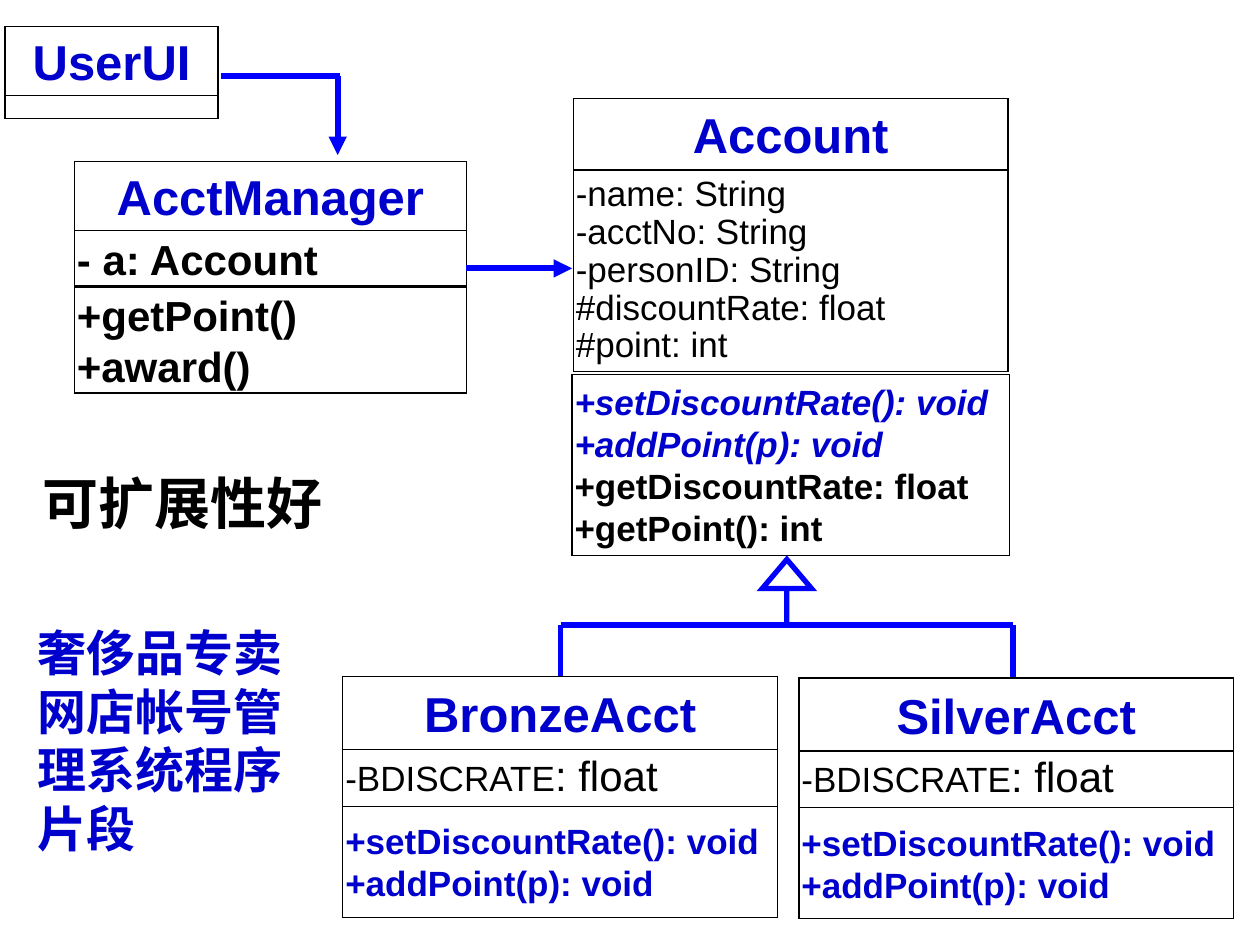
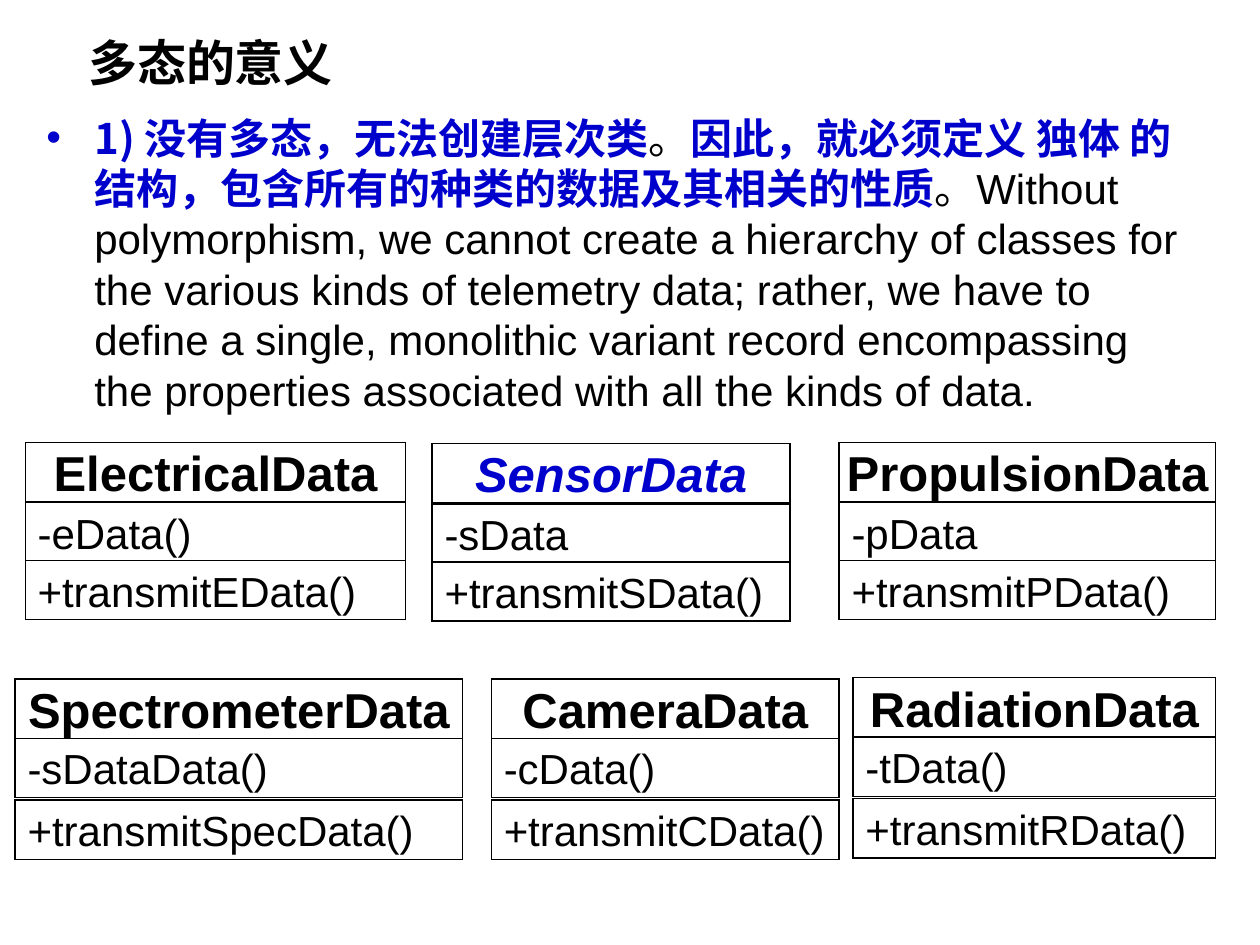
from lxml import etree
from pptx import Presentation
from pptx.dml.color import RGBColor
from pptx.enum.shapes import MSO_CONNECTOR, MSO_SHAPE
from pptx.enum.text import MSO_ANCHOR, MSO_AUTO_SIZE, PP_ALIGN
from pptx.oxml.ns import qn
from pptx.util import Pt

LEFT, CENTER = PP_ALIGN.LEFT, PP_ALIGN.CENTER
TOP, MIDDLE = MSO_ANCHOR.TOP, MSO_ANCHOR.MIDDLE
FIXED = MSO_AUTO_SIZE.NONE
RECT, ARROW = MSO_SHAPE.RECTANGLE, MSO_SHAPE.UP_ARROW
STRAIGHT = MSO_CONNECTOR.STRAIGHT

TITLE_ONLY, BLANK = 5, 6
SCALE = 9144  # EMU in one px, 100 px to the inch
BLACK, WHITE, BLUE, WIRE = "000000", "FFFFFF", "0000CC", "0000FF"
LATIN, HAN = "Arial", "Noto Sans CJK SC"


def px(*sizes):
    return [size * SCALE for size in sizes]


def color(code):
    return RGBColor.from_string(code)


def add_tag(parent, tag, **attrs):
    return etree.SubElement(parent, qn(tag), attrs)


def write(frame, text, size=24, font=LATIN, ink=BLACK, bold=False,
          italic=False, align=LEFT, anchor=TOP, pad=(10, 5), wrap=True,
          lead=None, bullet=None):
    """Fill a frame; text is a string or a list of lines.

    A line is a string or a list of (text, changed format) runs.
    """
    frame.auto_size = FIXED
    frame.word_wrap = wrap
    frame.vertical_anchor = anchor
    frame.margin_left = frame.margin_right = pad[0] * SCALE
    frame.margin_top = frame.margin_bottom = pad[1] * SCALE
    base = dict(size=size, font=font, ink=ink, bold=bold, italic=italic)
    for i, line in enumerate([text] if isinstance(text, str) else text):
        para = frame.add_paragraph() if i else frame.paragraphs[0]
        para.alignment = align
        para.space_before = Pt(0)
        if lead:
            para.line_spacing = lead
        if bullet:
            props = para._p.get_or_add_pPr()
            props.set("marL", str(38 * SCALE))
            props.set("indent", str(-38 * SCALE))
            add_tag(add_tag(props, "a:buClr"), "a:srgbClr", val=ink)
            add_tag(props, "a:buFont", typeface=LATIN)
            add_tag(props, "a:buChar", char=bullet)
        for words, change in [(line, {})] if isinstance(line, str) else line:
            form = base | change
            run = para.add_run()
            run.text = words
            run.font.size = Pt(form["size"])
            run.font.bold = form["bold"]
            run.font.italic = form["italic"]
            run.font.color.rgb = color(form["ink"])
            run.font.name = form["font"]
            add_tag(run._r.get_or_add_rPr(), "a:ea", typeface=form["font"])


class Deck:
    """Style and current slide of the presentation."""

    def __init__(self):
        self.show = Presentation()
        self.show.slide_width, self.show.slide_height = px(1000, 750)
        self.slide = None

    def page(self, layout):
        self.slide = self.show.slides.add_slide(self.show.slide_layouts[layout])

    def title(self, text, x, y, w, h, **form):
        head = self.slide.shapes.title
        head.left, head.top, head.width, head.height = px(x, y, w, h)
        write(head.text_frame, text, **form)

    def label(self, text, x, y, w, h, **form):
        box = self.slide.shapes.add_textbox(*px(x, y, w, h))
        write(box.text_frame, text, **form)

    def shape(self, kind, x, y, w, h, ink=BLACK, width=0.75):
        item = self.slide.shapes.add_shape(kind, *px(x, y, w, h))
        item.shadow.inherit = False
        item.fill.solid()
        item.fill.fore_color.rgb = color(WHITE)
        item.line.color.rgb = color(ink)
        item.line.width = Pt(width)
        add_tag(item.line._get_or_add_ln(), "a:miter", lim="800000")
        return item

    def cell(self, text, x, y, w, h, **form):
        item = self.shape(RECT, x, y, w, h)
        write(item.text_frame, text, anchor=MIDDLE, **form)

    def name(self, text, x, y, w, h, **form):
        style = dict(size=28, ink=BLUE, bold=True, align=CENTER)
        self.cell(text, x, y, w, h, **style | form)

    def wire(self, x1, y1, x2, y2, width=3, head=False):
        line = self.slide.shapes.add_connector(STRAIGHT, *px(x1, y1, x2, y2))
        line.line.color.rgb = color(WIRE)
        line.line.width = Pt(width)
        if head:
            add_tag(line.line._get_or_add_ln(), "a:tailEnd", type="triangle")
        add_tag(line._element.spPr, "a:effectLst")


def draw_accounts(deck):
    deck.page(BLANK)

    # User interface and manager
    deck.shape(RECT, 4, 65, 169, 29)
    deck.name("UserUI", 4, 21, 169, 55, pad=(10, 4))
    deck.wire(175, 60, 270, 60, width=3.5)
    deck.wire(268, 60, 268, 123, width=3.5, head=True)
    deck.cell("- a: Account", 59, 183, 311, 44, bold=True, pad=(2, 2))
    deck.cell(["+getPoint()", "+award()"], 59, 228, 311, 84, bold=True,
              pad=(2, 2))
    deck.name("AcctManager", 59, 128, 311, 55, pad=(10, 4))
    deck.wire(370, 213, 454, 213, width=3.5, head=True)

    # Account base class
    fields = ["-name: String", "-acctNo: String", "-personID: String",
              "#discountRate: float", "#point: int"]
    deck.cell(fields, 455, 135, 345, 160, size=20, pad=(2, 5), lead=0.9)
    deck.name("Account", 455, 78, 345, 57)
    setters = ["+setDiscountRate(): void", "+addPoint(p): void"]
    getters = ["+getDiscountRate: float", "+getPoint(): int"]
    virtual = dict(ink=BLUE, italic=True)
    deck.cell([[(line, virtual)] for line in setters] + getters,
              454, 297, 347, 144, size=20, bold=True, pad=(2, 5))

    # Inheritance tree
    deck.wire(445, 496, 804, 496)
    for x in (445, 804):
        deck.wire(x, 496, x, 570)
    arrow = deck.shape(ARROW, 605, 444, 39, 51, ink=WIRE, width=3)
    arrow.adjustments[0], arrow.adjustments[1] = 0, 0.59

    # Derived classes
    rate = [[("-BDISCRATE", dict(size=20)), (": float", {})]]
    for title, x, y in (("BronzeAcct", 272, 537), ("SilverAcct", 634, 538)):
        deck.cell(rate, x, y + 57, 345, 47, pad=(2, 5), lead=0.9)
        deck.name(title, x, y, 345, 58)
        deck.cell(setters, x, y + 103, 345, 88, size=20, ink=BLUE, bold=True,
                  pad=(2, 5))

    # Remarks
    deck.label("可扩展性好", 24, 367, 244, 64, size=32, font=HAN, bold=True)
    deck.label("奢侈品专卖网店帐号管理系统程序片段", 20, 489, 220, 197,
               size=28, font=HAN, ink=BLUE, bold=True)


def draw_meaning(deck):
    deck.page(TITLE_ONLY)
    deck.title("多态的意义", 60, 21, 300, 57, size=28, font=HAN, bold=True)

    # Main point
    strong, stop = dict(font=HAN, bold=True, ink=BLUE), dict(font=HAN, ink=BLACK)
    point = [
        ("1) 没有多态，无法创建层次类", strong),
        ("。", stop),
        ("因此，就必须定义 独体 的结构，包含所有的种类的数据及其相关的性质", strong),
        ("。", stop),
        ("Without polymorphism, we cannot create a hierarchy of classes for "
         "the various kinds of telemetry data; rather, we have to define a "
         "single, monolithic variant record encompassing the properties "
         "associated with all the kinds of data.", dict(ink=BLACK)),
    ]
    deck.label([point], 27, 84, 929, 260, ink=BLUE, bullet="•")

    # Unrelated data classes, with the tops of their lower cells
    upper, lower = (48, 94), (47, 96)
    cards = (
        ("ElectricalData", "-eData()", "+transmitEData()", 20, 351, 302, upper),
        ("SensorData", "-sData", "+transmitSData()", 343, 352, 284, upper),
        ("PropulsionData", "-pData", "+transmitPData()", 666, 351, 299, upper),
        ("SpectrometerData", "-sDataData()", "+transmitSpecData()",
         12, 539, 355, lower),
        ("CameraData", "-cData()", "+transmitCData()", 390, 539, 276, lower),
        ("RadiationData", "-tData()", "+transmitRData()", 677, 538, 288, lower),
    )
    for title, field, method, x, y, w, steps in cards:
        focus = title == "SensorData"
        deck.name(title, x, y, w, 47, ink=BLUE if focus else BLACK,
                  italic=focus, wrap=False)
        for text, step in zip((field, method), steps):
            deck.cell(text, x, y + step, w, 47, wrap=False)


def main():
    deck = Deck()
    draw_accounts(deck)
    draw_meaning(deck)
    deck.show.save("out.pptx")


if __name__ == "__main__":
    main()
